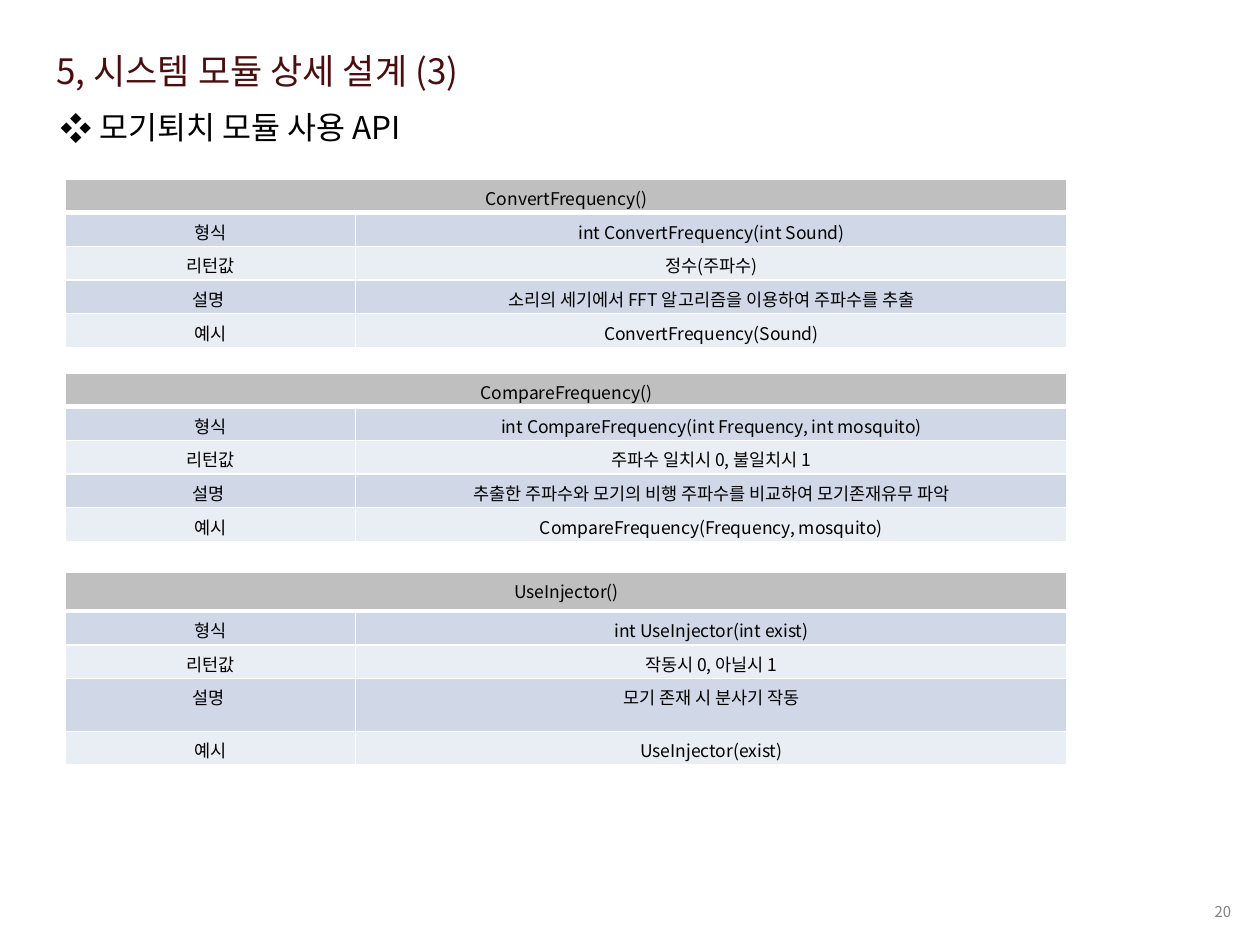
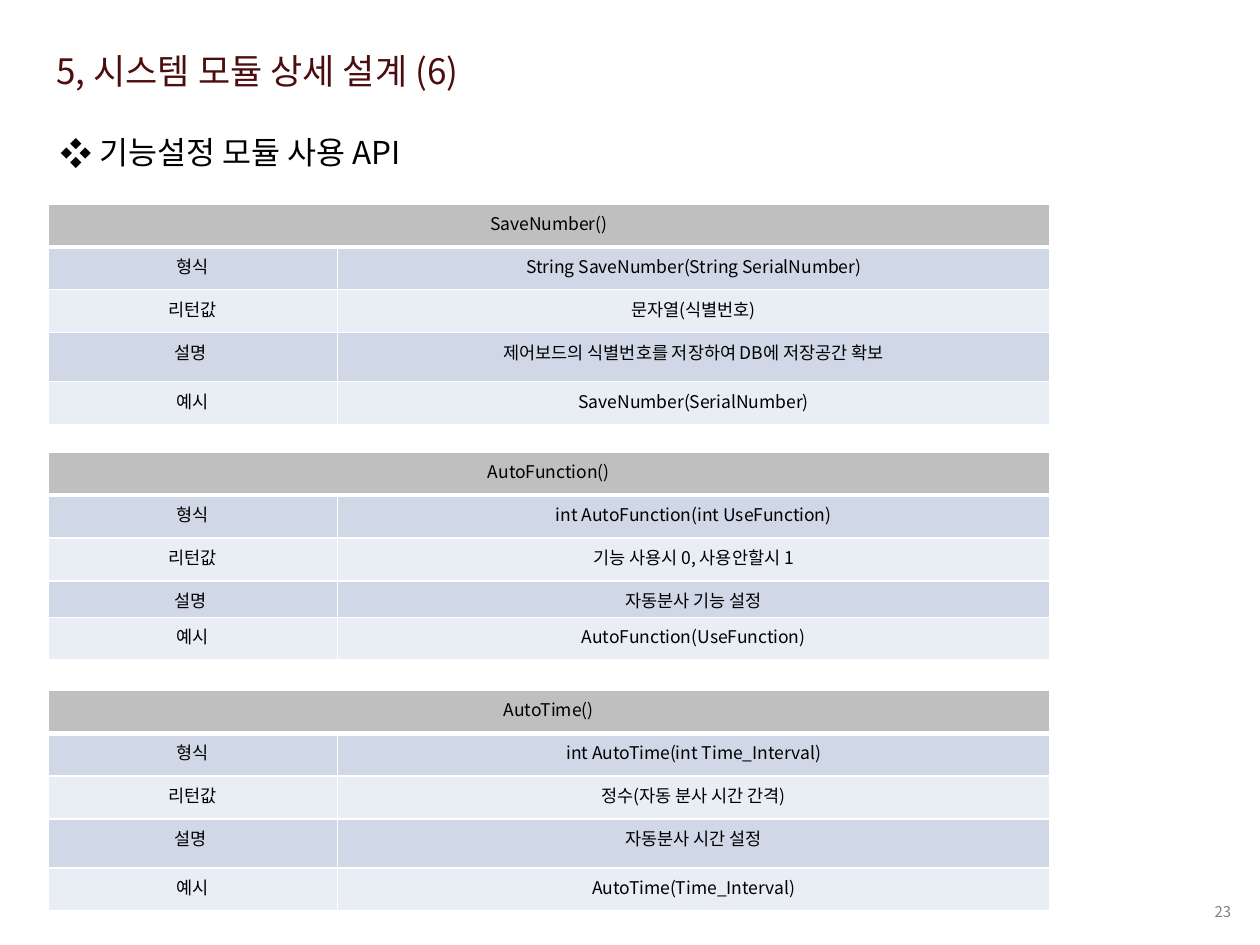
from dataclasses import dataclass

import pptx
import pptx.dml.color
import pptx.enum.text
import pptx.oxml.ns
import pptx.util
from lxml import etree
from pptx.util import Inches

FONT = "Noto Sans CJK KR"
COLORS = {
    "title": "4B0D0D",
    "text": "000000",
    "number": "808080",
    "header": "BFBFBF",
    "odd_row": "D0D8E8",
    "even_row": "E9EDF4",
    "border": "FFFFFF",
}
LABELS = ("형식", "리턴값", "설명 ", "예시")
COLUMN_WIDTHS = (2.3, 5.65)
ALIGN = pptx.enum.text.PP_ALIGN
ANCHOR = pptx.enum.text.MSO_ANCHOR
AUTO_SIZE = pptx.enum.text.MSO_AUTO_SIZE


@dataclass(frozen=True)
class TextStyle:
    size: float
    color: str
    align: ALIGN = ALIGN.LEFT
    bullet: str = ""


@dataclass(frozen=True)
class ApiTable:
    name: str
    top: float
    height: float
    rows: tuple[float, ...]
    values: tuple[str, str, str, str]


@dataclass(frozen=True)
class ApiPage:
    number: int
    sequence: int
    heading: str
    heading_top: float
    tables_left: float
    tables: tuple[ApiTable, ...]


TITLE = TextStyle(20, "title")
HEADING = TextStyle(18, "text", bullet="❖")
NUMBER = TextStyle(8.5, "number", ALIGN.RIGHT)
CELL = TextStyle(10, "text", ALIGN.CENTER)

TALL_ROWS = (0.34, 0.34, 0.34, 0.39, 0.34)

PAGES = (
    ApiPage(20, 3, "모기퇴치 모듈 사용 API", 0.81, 0.52, (
        ApiTable("ConvertFrequency", 1.42, 1.33, (0.26, 0.26, 0.26, 0.22, 0.26), (
            "int ConvertFrequency(int Sound)",
            "정수(주파수)",
            "소리의 세기에서 FFT 알고리즘을 이용하여 주파수를 추출",
            "ConvertFrequency(Sound)",
        )),
        ApiTable("CompareFrequency", 2.96, 1.33, (0.2, 0.2, 0.2, 0.23, 0.2), (
            "int CompareFrequency(int Frequency, int mosquito)",
            "주파수 일치시 0, 불일치시 1",
            "추출한 주파수와 모기의 비행 주파수를 비교하여 모기존재유무 파악",
            "CompareFrequency(Frequency, mosquito)",
        )),
        ApiTable("UseInjector", 4.54, 1.53, (0.31, 0.25, 0.25, 0.42, 0.25), (
            "int UseInjector(int exist)",
            "작동시 0, 아닐시 1",
            "모기 존재 시 분사기 작동",
            "UseInjector(exist)",
        )),
    )),
    ApiPage(23, 6, "기능설정 모듈 사용 API", 1.01, 0.38, (
        ApiTable("SaveNumber", 1.62, 1.76, TALL_ROWS, (
            "String SaveNumber(String SerialNumber)",
            "문자열(식별번호)",
            "제어보드의 식별번호를 저장하여 DB에 저장공간 확보",
            "SaveNumber(SerialNumber)",
        )),
        ApiTable("AutoFunction", 3.59, 1.65, (0.34, 0.34, 0.34, 0.29, 0.34), (
            "int AutoFunction(int UseFunction)",
            "기능 사용시 0, 사용안할시 1",
            "자동분사 기능 설정",
            "AutoFunction(UseFunction)",
        )),
        ApiTable("AutoTime", 5.48, 1.76, TALL_ROWS, (
            "int AutoTime(int Time_Interval)",
            "정수(자동 분사 시간 간격)",
            "자동분사 시간 설정",
            "AutoTime(Time_Interval)",
        )),
    )),
)


def add_element(parent, tag: str, **attributes: str):
    element = etree.SubElement(parent, pptx.oxml.ns.qn(tag))
    for name, value in attributes.items():
        element.set(name, value)
    return element


def rgb(color: str) -> pptx.dml.color.RGBColor:
    return pptx.dml.color.RGBColor.from_string(COLORS[color])


def write_text(frame, text: str, style: TextStyle) -> None:
    para = frame.paragraphs[0]
    para.alignment = style.align
    if style.bullet:
        properties = para._p.get_or_add_pPr()
        indent = Inches(0.31)
        properties.set("marL", str(indent))
        properties.set("indent", str(-indent))
        add_element(properties, "a:buFont", typeface=FONT)
        add_element(properties, "a:buChar", char=style.bullet)
    span = para.add_run()
    span.text = text
    values = {"name": FONT, "size": pptx.util.Pt(style.size), "bold": False}
    for name, value in values.items():
        setattr(span.font, name, value)
    span.font.color.rgb = rgb(style.color)
    add_element(span._r.get_or_add_rPr(), "a:ea", typeface=FONT)


def add_text(page, text: str, style: TextStyle, left: float, top: float,
             width: float, height: float, **frame_values) -> None:
    box = page.shapes.add_textbox(*map(Inches, (left, top, width, height)))
    values = {"word_wrap": True, **frame_values}
    for name, value in values.items():
        setattr(box.text_frame, name, value)
    write_text(box.text_frame, text, style)


def style_cell(cell, fill: str, bottom_width: float) -> None:
    properties = cell._tc.get_or_add_tcPr()
    for side, width in {"L": 1, "R": 1, "T": 1, "B": bottom_width}.items():
        line = add_element(properties, f"a:ln{side}", w=str(pptx.util.Pt(width)))
        solid = add_element(line, "a:solidFill")
        add_element(solid, "a:srgbClr", val=COLORS["border"])
    cell.fill.solid()
    cell.fill.fore_color.rgb = rgb(fill)


def add_api_table(page, api: ApiTable, left: float) -> None:
    frame = page.shapes.add_table(
        len(api.rows), len(COLUMN_WIDTHS), Inches(left), Inches(api.top),
        Inches(sum(COLUMN_WIDTHS)), Inches(api.height))
    table = frame.table
    for name, value in {"first_row": False, "horz_banding": False}.items():
        setattr(table, name, value)
    for column, width in zip(table.columns, COLUMN_WIDTHS):
        column.width = Inches(width)
    for row, height in zip(table.rows, api.rows):
        row.height = Inches(height)
    frame.height = Inches(api.height)

    for index, row in enumerate(table.rows):
        fill = "header" if index == 0 else "odd_row" if index % 2 else "even_row"
        for cell in row.cells:
            style_cell(cell, fill, 3 if index == 0 else 1)
    table.cell(0, 0).merge(table.cell(0, 1))
    write_text(table.cell(0, 0).text_frame, f"{api.name}()", CELL)
    for index, texts in enumerate(zip(LABELS, api.values), start=1):
        for column, text in enumerate(texts):
            write_text(table.cell(index, column).text_frame, text, CELL)


def add_page(deck, content: ApiPage) -> None:
    page = deck.slides.add_slide(deck.slide_layouts[6])
    grow = {"auto_size": AUTO_SIZE.SHAPE_TO_FIT_TEXT}
    add_text(page, str(content.number), NUMBER, 7.76, 7.1, 2.11, 0.27,
             vertical_anchor=ANCHOR.MIDDLE)
    add_text(page, f"5, 시스템 모듈 상세 설계 ({content.sequence})", TITLE,
             0.35, 0.34, 7.64, 0.44, **grow)
    add_text(page, content.heading, HEADING,
             0.38, content.heading_top, 7.86, 0.4, **grow)
    for api in content.tables:
        add_api_table(page, api, content.tables_left)


def main() -> None:
    deck = pptx.Presentation()
    deck.slide_width = Inches(10)
    deck.slide_height = Inches(7.5)
    for content in PAGES:
        add_page(deck, content)
    deck.save("out.pptx")


if __name__ == "__main__":
    main()
